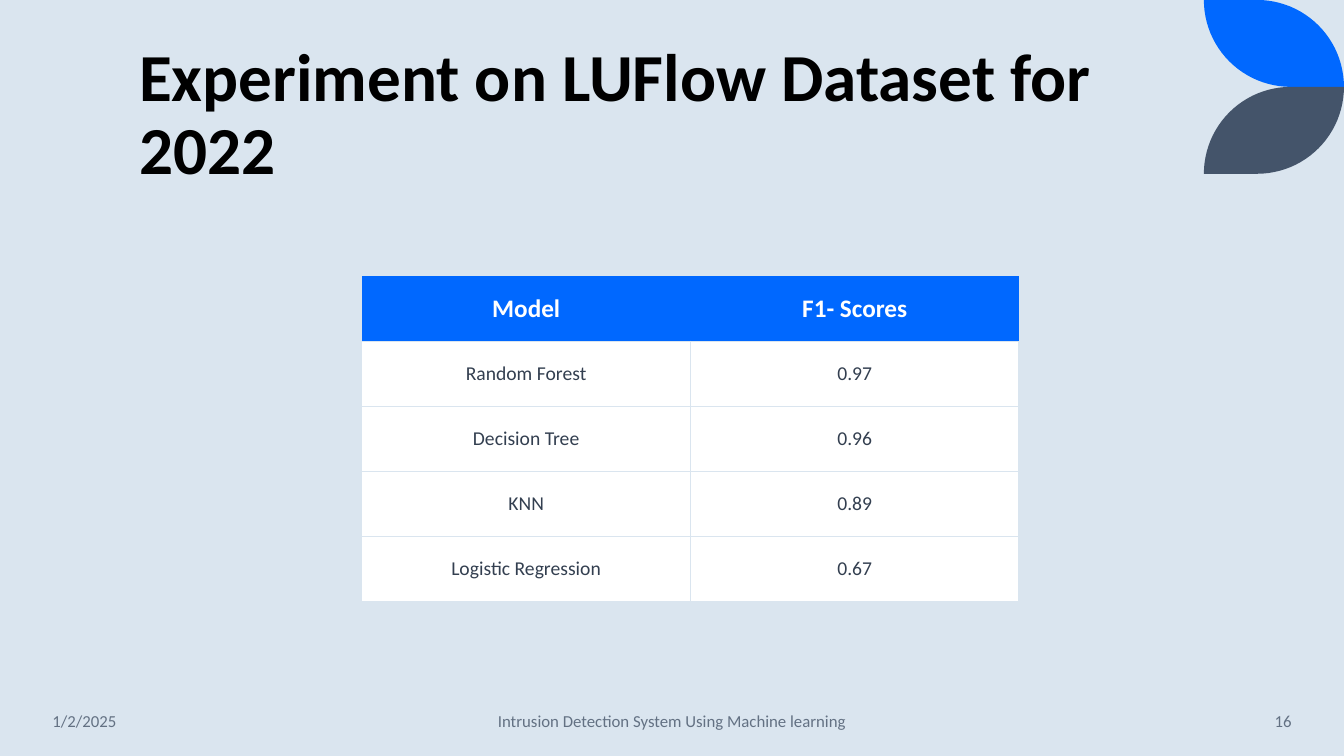
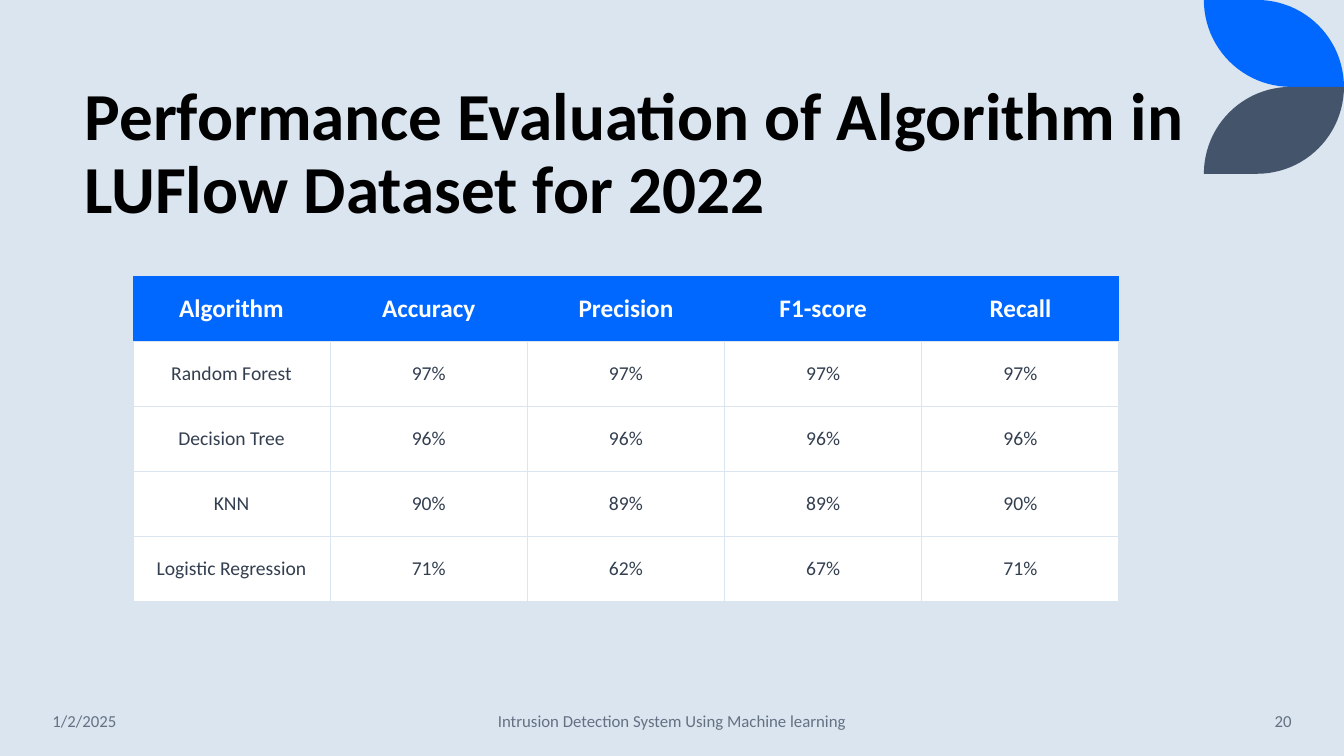
from dataclasses import dataclass
from math import cos, pi, sin

from lxml.etree import SubElement
from pptx import Presentation
from pptx.dml.color import RGBColor as Color
from pptx.enum.text import MSO_ANCHOR as Anchor, MSO_AUTO_SIZE as AutoSize, PP_ALIGN as Align
from pptx.oxml.ns import qn
from pptx.util import Cm, Pt


@dataclass(frozen=True)
class Theme:
    font: str = "Calibri"
    page: str = "DAE5EF"
    accent: str = "0068FF"
    slate: str = "44546A"
    title: str = "000000"
    body: str = "333F50"
    muted: str = "637183"
    white: str = "FFFFFF"
    title_size: int = 48
    head_size: int = 18
    body_size: int = 14
    footer_size: int = 12
    border: float = 1


@dataclass(frozen=True)
class Box:
    left: float
    top: float
    width: float
    height: float

    def lengths(self):
        return [Cm(n) for n in (self.left, self.top, self.width, self.height)]


THEME = Theme()
PAGE = Box(0, 0, 33.87, 19.05)
LEAVES = Box(30.34, 0, 3.53, 4.38)
FOOTER = Box(1.07, 17.65, 31.73, 1.02)
FOOTER_DATE = "1/2/2025"
FOOTER_TEXT = "Intrusion Detection System Using Machine learning"

# One entry per slide: title, boxes, table rows and page number
PAGES = [
    {
        "title": "Experiment on LUFlow Dataset for 2022",
        "title_box": Box(3.25, 1.07, 27.15, 3.81),
        "table_box": Box(9.12, 6.96, 16.56, 8.2),
        "rows": [
            ("Model", "F1- Scores"),
            ("Random Forest", "0.97"),
            ("Decision Tree", "0.96"),
            ("KNN", "0.89"),
            ("Logistic Regression", "0.67"),
        ],
        "number": "16",
    },
    {
        "title": "Performance Evaluation of Algorithm in LUFlow Dataset for 2022",
        "title_box": Box(1.88, 1.88, 28.32, 3.99),
        "table_box": Box(3.35, 6.96, 24.85, 8.2),
        "rows": [
            ("Algorithm", "Accuracy", "Precision", "F1-score", "Recall"),
            ("Random Forest", "97%", "97%", "97%", "97%"),
            ("Decision Tree", "96%", "96%", "96%", "96%"),
            ("KNN", "90%", "89%", "89%", "90%"),
            ("Logistic Regression", "71%", "62%", "67%", "71%"),
        ],
        "number": "20",
    },
]


def set_attributes(target, values):
    for name, value in values.items():
        setattr(target, name, value)


def write_text(frame, text, size, color, bold=False, align=Align.LEFT, spacing=None):
    """Fill a text frame with one formatted paragraph."""
    para = frame.paragraphs[0]
    set_attributes(para, {"alignment": align, "line_spacing": spacing})
    span = para.add_run()
    span.text = text
    set_attributes(span.font, {"name": THEME.font, "size": Pt(size), "bold": bold})
    span.font.color.rgb = Color.from_string(color)


def add_title(slide, box, text):
    title = slide.shapes.title
    set_attributes(title, dict(zip(("left", "top", "width", "height"), box.lengths())))
    frame = title.text_frame
    set_attributes(frame, {"word_wrap": True, "auto_size": AutoSize.NONE,
                           "vertical_anchor": Anchor.BOTTOM})
    write_text(frame, text, THEME.title_size, THEME.title, bold=True, spacing=0.9)


def add_leaf(slide, box, color, flipped=False):
    """Draw a leaf with two square corners and two quarter-round ones."""
    radius, steps = box.height, 24
    angles = [pi / 2 * step / steps for step in range(steps + 1)]
    right_arc = [(box.width - radius + radius * sin(a), radius - radius * cos(a))
                 for a in angles]
    left_arc = [(radius - radius * sin(a), radius * cos(a)) for a in angles]
    points = [(Cm(box.left + x), Cm(box.top + (box.height - y if flipped else y)))
              for x, y in [(0, 0)] + right_arc + left_arc]
    builder = slide.shapes.build_freeform(*points[0])
    builder.add_line_segments(points[1:], close=True)
    leaf = builder.convert_to_shape()
    leaf.shadow.inherit = False
    leaf.fill.solid()
    leaf.fill.fore_color.rgb = Color.from_string(color)
    leaf.line.fill.background()


def add_leaves(slide, box):
    half = box.height / 2
    for index, color in enumerate((THEME.accent, THEME.slate)):
        leaf_box = Box(box.left, box.top + index * half, box.width, half)
        add_leaf(slide, leaf_box, color, flipped=index == 1)


def set_borders(cell, colors):
    """Draw the four cell edges; None leaves an edge without a line."""
    properties = cell._tc.get_or_add_tcPr()
    for edge in ("lnL", "lnR", "lnT", "lnB"):
        line = SubElement(properties, qn(f"a:{edge}"), w=str(Pt(THEME.border)))
        color = colors[edge]
        if color is None:
            SubElement(line, qn("a:noFill"))
        else:
            fill = SubElement(line, qn("a:solidFill"))
            SubElement(fill, qn("a:srgbClr"), val=color)


def add_score_table(slide, box, rows):
    count = len(rows[0])
    table = slide.shapes.add_table(len(rows), count, *box.lengths()).table
    table.horz_banding = False
    for column in table.columns:
        column.width = Cm(box.width / count)
    for row in table.rows:
        row.height = Cm(box.height / len(rows))

    body_edges = dict.fromkeys(("lnL", "lnR", "lnT", "lnB"), THEME.page)
    head_edges = {**dict.fromkeys(body_edges), "lnB": THEME.page}
    head = (THEME.accent, head_edges, THEME.head_size, THEME.white, True)
    body = (THEME.white, body_edges, THEME.body_size, THEME.body, False)
    for row_index, row in enumerate(rows):
        fill, edges, size, color, bold = body if row_index else head
        for column_index, text in enumerate(row):
            cell = table.cell(row_index, column_index)
            set_borders(cell, edges)
            cell.fill.solid()
            cell.fill.fore_color.rgb = Color.from_string(fill)
            cell.vertical_anchor = Anchor.MIDDLE
            write_text(cell.text_frame, text, size, color, bold, Align.CENTER)


def add_footer(slide, box, number):
    side, middle = 4.7, 11.43
    parts = [
        (0, side, FOOTER_DATE, Align.LEFT),
        ((box.width - middle) / 2, middle, FOOTER_TEXT, Align.CENTER),
        (box.width - side, side, number, Align.RIGHT),
    ]
    for offset, width, text, align in parts:
        part_box = Box(box.left + offset, box.top, width, box.height)
        frame = slide.shapes.add_textbox(*part_box.lengths()).text_frame
        set_attributes(frame, {"word_wrap": True, "vertical_anchor": Anchor.MIDDLE})
        write_text(frame, text, THEME.footer_size, THEME.muted, align=align)


def add_table_page(deck, page):
    slide = deck.slides.add_slide(deck.slide_layouts.get_by_name("Title Only"))
    add_leaves(slide, LEAVES)
    add_title(slide, page["title_box"], page["title"])
    add_score_table(slide, page["table_box"], page["rows"])
    add_footer(slide, FOOTER, page["number"])


def main():
    deck = Presentation()
    set_attributes(deck, {"slide_width": Cm(PAGE.width), "slide_height": Cm(PAGE.height)})
    # Shared page colour
    background = deck.slide_master.background.fill
    background.solid()
    background.fore_color.rgb = Color.from_string(THEME.page)
    for page in PAGES:
        add_table_page(deck, page)
    deck.save("out.pptx")


if __name__ == "__main__":
    main()
